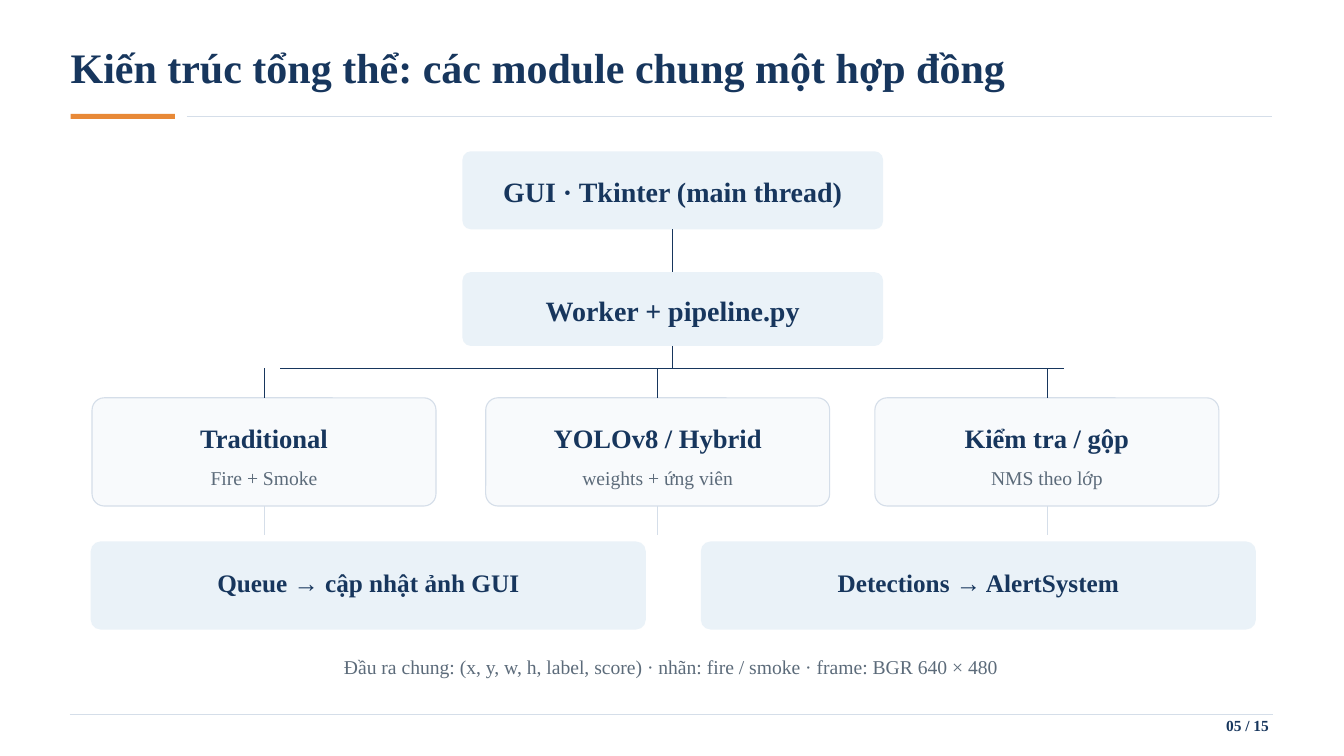
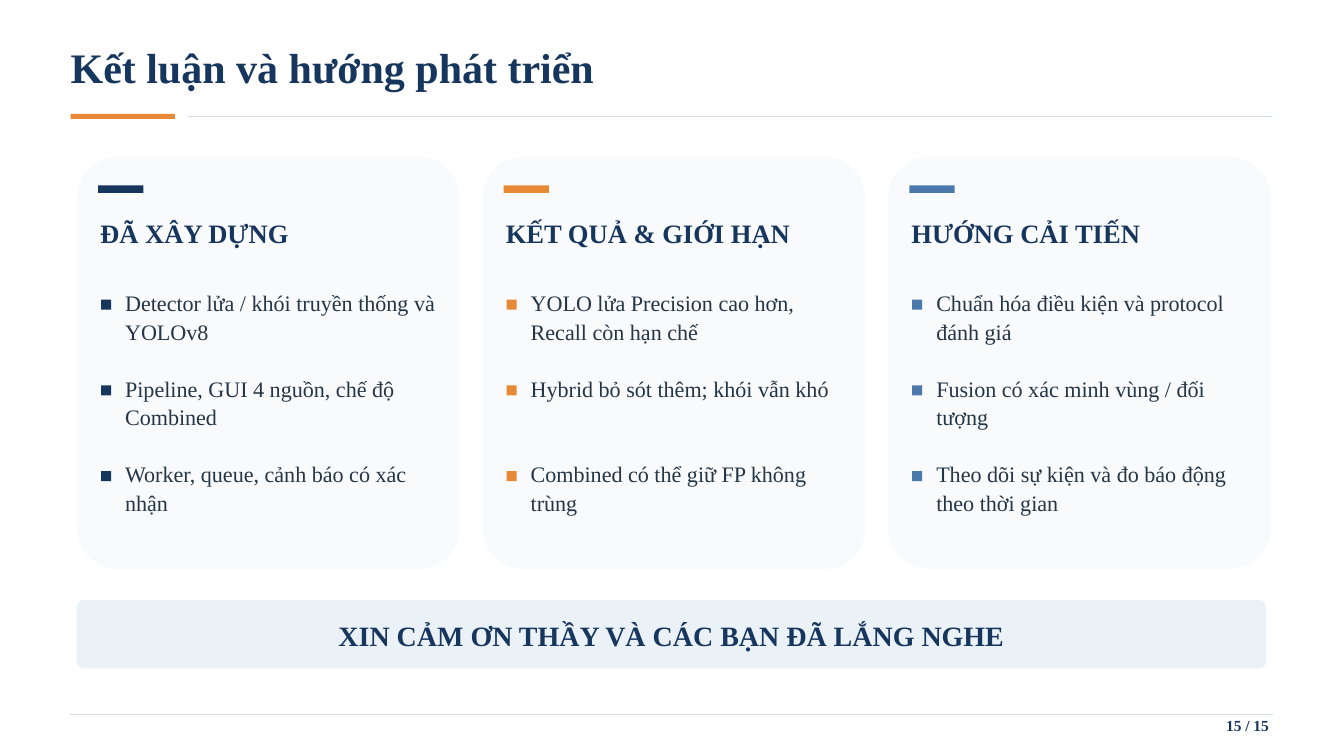
from dataclasses import dataclass

from lxml import etree
from pptx import Presentation
from pptx.dml.color import RGBColor
from pptx.enum.shapes import MSO_CONNECTOR, MSO_SHAPE
from pptx.enum.text import MSO_ANCHOR, MSO_AUTO_SIZE, PP_ALIGN
from pptx.oxml.ns import qn
from pptx.util import Cm, Pt

# Shared style
FONT = "Times New Roman"
NAVY = RGBColor(0x17, 0x36, 0x5D)
ORANGE = RGBColor(0xE8, 0x89, 0x37)
BLUE = RGBColor(0x4C, 0x79, 0xAB)
INK = RGBColor(0x24, 0x35, 0x46)
GREY = RGBColor(0x5C, 0x6B, 0x7A)
RULE = RGBColor(0xD5, 0xDE, 0xE9)
PALE_BLUE = RGBColor(0xEA, 0xF2, 0xF8)
PALE_GREY = RGBColor(0xF8, 0xFA, 0xFC)

LEFT, CENTER, RIGHT = PP_ALIGN.LEFT, PP_ALIGN.CENTER, PP_ALIGN.RIGHT
TOP, MIDDLE = MSO_ANCHOR.TOP, MSO_ANCHOR.MIDDLE
NO_AUTOFIT = MSO_AUTO_SIZE.NONE
RECTANGLE, ROUNDED = MSO_SHAPE.RECTANGLE, MSO_SHAPE.ROUNDED_RECTANGLE
STRAIGHT = MSO_CONNECTOR.STRAIGHT
SIDE_TOP, SIDE_BOTTOM = 0, 2
TITLE_ONLY = 5
LINE_SPACING = 1.285


@dataclass
class Box:
    """A rectangle in centimetres."""
    left: float
    top: float
    width: float
    height: float

    def inner(self, dx, dy, width, height):
        return Box(self.left + dx, self.top + dy, width, height)

    def lengths(self):
        return Cm(self.left), Cm(self.top), Cm(self.width), Cm(self.height)


TITLE_BOX = Box(2.67, 1.45, 44.91, 2.06)
FOOTER_BOX = Box(2.64, 27, 45.47, 0.8)
DIAGRAM_BOX = Box(3.43, 5.72, 44.04, 19.93)
CONCLUSION_BOX = Box(2.9, 5.92, 45.14, 19.35)

MODULES = [
    (0.05, "Traditional", "Fire + Smoke"),
    (14.93, "YOLOv8 / Hybrid", "weights + ứng viên"),
    (29.64, "Kiểm tra / gộp", "NMS theo lớp"),
]
OUTPUTS = ["Queue → cập nhật ảnh GUI", "Detections → AlertSystem"]
COLUMNS = [
    (NAVY, "ĐÃ XÂY DỰNG", [
        "Detector lửa / khói truyền thống và YOLOv8",
        "Pipeline, GUI 4 nguồn, chế độ Combined",
        "Worker, queue, cảnh báo có xác nhận",
    ]),
    (ORANGE, "KẾT QUẢ & GIỚI HẠN", [
        "YOLO lửa Precision cao hơn, Recall còn hạn chế",
        "Hybrid bỏ sót thêm; khói vẫn khó",
        "Combined có thể giữ FP không trùng",
    ]),
    (BLUE, "HƯỚNG CẢI TIẾN", [
        "Chuẩn hóa điều kiện và protocol đánh giá",
        "Fusion có xác minh vùng / đối tượng",
        "Theo dõi sự kiện và đo báo động theo thời gian",
    ]),
]


# Building blocks
def format_paragraph(paragraph, size, color=NAVY, bold=True, align=LEFT):
    paragraph.alignment = align
    paragraph.line_spacing = Pt(round(size * LINE_SPACING, 1))
    for run in paragraph.runs:
        font = run.font
        font.name, font.size, font.bold = FONT, Pt(size), bold
        font.color.rgb = color


def set_frame(shape, anchor=TOP, top_inset=0):
    frame = shape.text_frame
    frame.word_wrap = True
    frame.auto_size = NO_AUTOFIT
    frame.vertical_anchor = anchor
    frame.margin_left = frame.margin_right = frame.margin_bottom = 0
    frame.margin_top = Cm(top_inset)
    return frame


def write(shape, text, size, anchor=TOP, top_inset=0, **style):
    frame = set_frame(shape, anchor, top_inset)
    frame.text = text
    format_paragraph(frame.paragraphs[0], size, **style)


def add_text(slide, box, text, size, **style):
    write(slide.shapes.add_textbox(*box.lengths()), text, size, **style)


def add_block(slide, box, fill, radius=0, border=None):
    shape = slide.shapes.add_shape(ROUNDED if radius else RECTANGLE, *box.lengths())
    if radius:
        shape.adjustments[0] = radius / min(box.width, box.height)
    shape.shadow.inherit = False
    shape.fill.solid()
    shape.fill.fore_color.rgb = fill
    if border:
        shape.line.color.rgb = border
        shape.line.width = Pt(1.2)
    else:
        shape.line.fill.background()
    return shape


def add_line(slide, start, end, color, width=0.75):
    points = [Cm(value) for value in (*start, *end)]
    connector = slide.shapes.add_connector(STRAIGHT, *points)
    connector.line.color.rgb = color
    connector.line.width = Pt(width)
    etree.SubElement(connector._element.spPr, qn("a:effectLst"))
    return connector


# Parts on every slide
def add_header(slide, box, text):
    title = slide.shapes.title
    title.left, title.top, title.width, title.height = box.lengths()
    write(title, text, 45)
    add_block(slide, box.inner(0, 2.86, 3.94, 0.19), ORANGE)
    rule_y = box.top + 2.94
    add_line(slide, (box.left + 4.39, rule_y), (box.left + 45.39, rule_y), RULE)


def add_footer(slide, box, page):
    add_line(slide, (box.left, box.top), (box.left + box.width, box.top), RULE)
    add_text(slide, box.inner(42.72, 0.04, 2.6, 0.79), page, 16.5, align=RIGHT)


def add_framed_slide(presentation, title, page):
    slide = presentation.slides.add_slide(presentation.slide_layouts[TITLE_ONLY])
    add_header(slide, TITLE_BOX, title)
    add_footer(slide, FOOTER_BOX, page)
    return slide


# Architecture diagram
def add_module(slide, box, name, detail, bus_y):
    card = add_block(slide, box, PALE_GREY, 0.46, RULE)
    write(card, name, 28.5, top_inset=0.69, align=CENTER)
    paragraph = card.text_frame.add_paragraph()
    paragraph.text = detail
    paragraph.space_before = Pt(11.5)
    format_paragraph(paragraph, 21, GREY, False, CENTER)

    center, bottom = box.left + box.width / 2, box.top + box.height
    drop = add_line(slide, (center, bus_y), (center, box.top), NAVY)
    drop.end_connect(card, SIDE_TOP)
    tail = add_line(slide, (center, bottom), (center, bottom + 1.1), RULE)
    tail.begin_connect(card, SIDE_BOTTOM)


def add_diagram(slide, box):
    # Main thread and worker
    gui_box = box.inner(14.05, 0, 15.9, 2.95)
    worker_box = box.inner(14.05, 4.57, 15.9, 2.79)
    gui = add_block(slide, gui_box, PALE_BLUE, 0.32)
    write(gui, "GUI · Tkinter (main thread)", 30, MIDDLE, align=CENTER)
    worker = add_block(slide, worker_box, PALE_BLUE, 0.32)
    write(worker, "Worker + pipeline.py", 30, MIDDLE, align=CENTER)

    center = gui_box.left + gui_box.width / 2
    bus_y = box.top + 8.21
    link = add_line(slide, (center, gui_box.top + gui_box.height),
                    (center, worker_box.top), NAVY, 1.5)
    link.begin_connect(gui, SIDE_BOTTOM)
    link.end_connect(worker, SIDE_TOP)
    trunk = add_line(slide, (center, worker_box.top + worker_box.height),
                     (center, bus_y), NAVY, 1.5)
    trunk.begin_connect(worker, SIDE_BOTTOM)
    add_line(slide, (box.left + 7.16, bus_y), (box.left + 36.8, bus_y), NAVY)

    # Modules under the bus
    for dx, name, detail in MODULES:
        add_module(slide, box.inner(dx, 9.32, 13, 4.09), name, detail, bus_y)

    # Outputs and shared contract
    for index, text in enumerate(OUTPUTS):
        output = add_block(slide, box.inner(index * 23.06, 14.75, 20.98, 3.33),
                           PALE_BLUE, 0.37)
        write(output, text, 27, top_inset=0.79, align=CENTER)
    add_text(slide, box.inner(0.58, 18.99, 42.7, 0.94),
             "Đầu ra chung: (x, y, w, h, label, score) · nhãn: fire / smoke"
             " · frame: BGR 640 × 480",
             21, color=GREY, bold=False, align=CENTER)


# Conclusion columns and closing band
def add_column(slide, box, accent, heading, items):
    add_block(slide, box, PALE_GREY, 1.59)
    add_block(slide, box.inner(0.81, 1.09, 1.71, 0.28), accent)
    add_text(slide, box.inner(0.89, 2.18, 12.88, 1.3), heading, 28.5)
    for row, item in enumerate(items):
        dy = 4.95 + row * 3.24
        add_block(slide, box.inner(0.92, dy + 0.46, 0.38, 0.38), accent)
        add_text(slide, box.inner(1.83, dy, 11.79, 2.13), item, 23.7,
                 color=INK, bold=False)


def add_conclusion(slide, box):
    for index, column in enumerate(COLUMNS):
        add_column(slide, box.inner(index * 15.33, 0, 14.48, 15.6), *column)
    closing = add_block(slide, box.inner(0, 16.76, 44.96, 2.59), PALE_BLUE, 0.28)
    write(closing, "XIN CẢM ƠN THẦY VÀ CÁC BẠN ĐÃ LẮNG NGHE", 30, MIDDLE,
          align=CENTER)


def main():
    presentation = Presentation()
    presentation.slide_width = Cm(50.8)
    presentation.slide_height = Cm(28.58)

    architecture = add_framed_slide(
        presentation, "Kiến trúc tổng thể: các module chung một hợp đồng", "05 / 15")
    add_diagram(architecture, DIAGRAM_BOX)

    conclusion = add_framed_slide(
        presentation, "Kết luận và hướng phát triển", "15 / 15")
    add_conclusion(conclusion, CONCLUSION_BOX)

    presentation.save("out.pptx")


if __name__ == "__main__":
    main()
